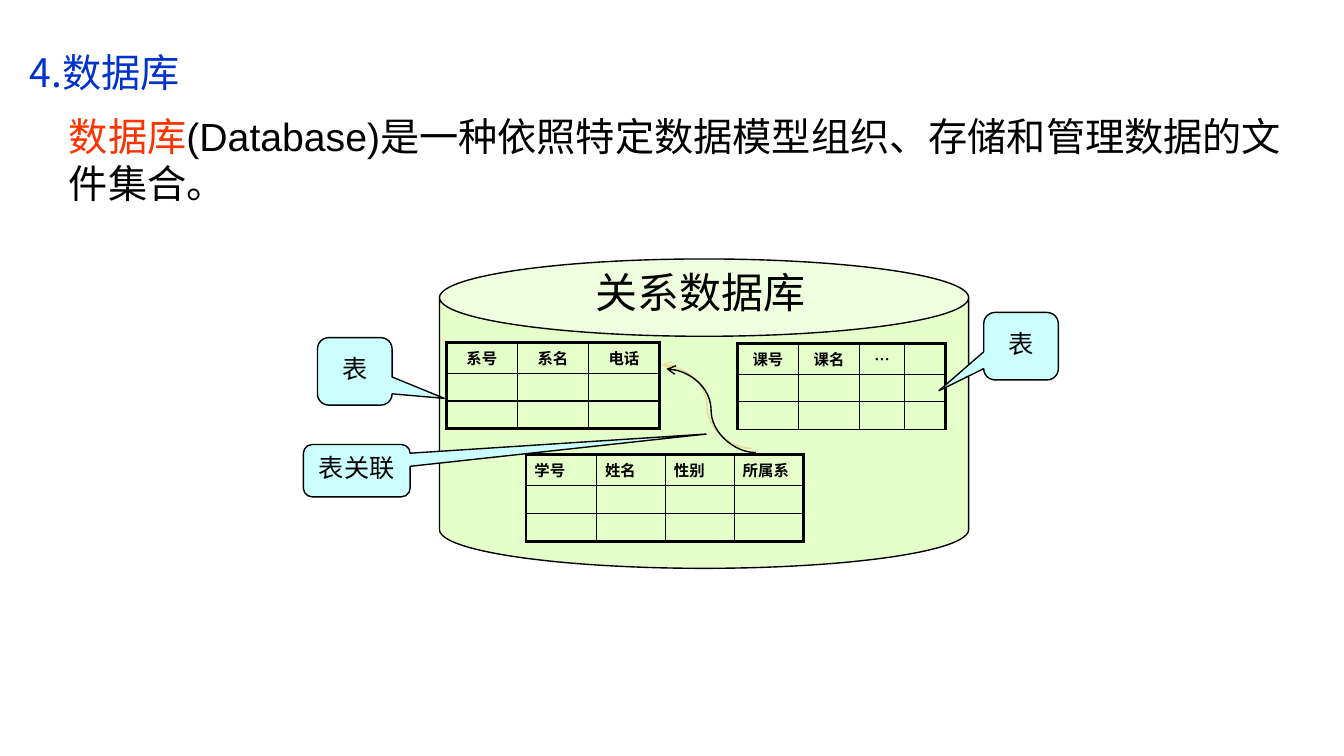
from lxml import etree
from pptx import Presentation
from pptx import util as u
from pptx.dml.color import RGBColor
from pptx.enum import shapes, text
from pptx.oxml import ns

BLACK = "000000"
NOTO = "Noto Sans CJK SC"
CENTER = text.PP_ALIGN.CENTER
LEFT = text.PP_ALIGN.LEFT
MIDDLE = text.MSO_ANCHOR.MIDDLE
TOP = text.MSO_ANCHOR.TOP


def color(value):
    return RGBColor.from_string(value)


def child(parent, tag, **attributes):
    return etree.SubElement(parent, ns.qn(tag), attributes)


def points(*lengths):
    return [u.Pt(length) for length in lengths]


def write(frame, spans, size=18, font=NOTO, asian=NOTO, bold=False,
          align=LEFT, anchor=TOP, wrap=True, spacing=None):
    frame.auto_size = text.MSO_AUTO_SIZE.NONE
    frame.word_wrap = wrap
    frame.vertical_anchor = anchor
    frame.margin_left = frame.margin_right = u.Pt(6)
    frame.margin_top = frame.margin_bottom = u.Pt(3)
    para = frame.paragraphs[0]
    para.alignment = align
    para.line_spacing = spacing
    for words, tint in spans:
        span = para.add_run()
        span.text = words
        span.font.size = u.Pt(size)
        span.font.name = font
        span.font.bold = bold
        span.font.color.rgb = color(tint)
        child(span.font._element, "a:ea", typeface=asian)


def add_title(page, words, place):
    title = page.shapes.title
    title.left, title.top, title.width, title.height = points(*place)
    write(title.text_frame, [(words, "0033CC")], size=28, spacing=u.Pt(33.6))


def add_text(page, spans, place, **style):
    box = page.shapes.add_textbox(*points(*place))
    write(box.text_frame, spans, **style)


def add_box(page, kind, place, fill, adjustments):
    box = page.shapes.add_shape(kind, *points(*place))
    box.shadow.inherit = False
    box.fill.solid()
    box.fill.fore_color.rgb = color(fill)
    box.line.color.rgb = color(BLACK)
    box.line.width = u.Pt(1)
    for index, value in enumerate(adjustments):
        box.adjustments[index] = value
    return box


def add_cylinder(page, place):
    box = add_box(page, shapes.MSO_SHAPE.CAN, place, "CCFF99", [0.25])
    tint = box.fill._xPr.find(ns.qn("a:solidFill"))[0]
    child(tint, "a:alpha", val="50000")


def add_callout(page, words, place, tip):
    kind = shapes.MSO_SHAPE.ROUNDED_RECTANGULAR_CALLOUT
    box = add_box(page, kind, place, "CCFFFF", [*tip, 0.167])
    write(box.text_frame, [(words, BLACK)], align=CENTER, anchor=MIDDLE, spacing=0.8)


def add_border(cell, side, width):
    line = child(cell._tc.get_or_add_tcPr(), "a:ln" + side, w=str(u.Pt(width)))
    child(child(line, "a:solidFill"), "a:srgbClr", val=BLACK)


def add_relation(page, headers, place, widths, align=CENTER, bottom=2.25):
    rows, thick, thin = 3, 2.25, 1
    frame = page.shapes.add_table(rows, len(headers), *points(*place))
    table = frame.table
    table.first_row = table.horz_banding = False
    for column, width in zip(table.columns, widths):
        column.width = u.Pt(width)
    last = len(headers) - 1
    for row in range(rows):
        table.rows[row].height = u.Pt(place[3] / rows)
        for column, header in enumerate(headers):
            cell = table.cell(row, column)
            cell.margin_left = cell.margin_right = u.Pt(6)
            cell.margin_top = cell.margin_bottom = u.Pt(3)
            add_border(cell, "L", thick if column == 0 else thin)
            add_border(cell, "R", thick if column == last else thin)
            add_border(cell, "T", thick if row == 0 else thin)
            add_border(cell, "B", bottom if row == rows - 1 else thin)
            cell.fill.background()
            if row == 0 and header:
                write(cell.text_frame, [(header, BLACK)], size=11, bold=True,
                      font="Noto Sans CJK KR", asian="Noto Sans CJK KR", align=align)
            else:
                child(cell.text_frame.paragraphs[0]._p, "a:endParaRPr", sz="1100")


def add_curve(page, start, end):
    curve = page.shapes.add_connector(
        shapes.MSO_CONNECTOR.CURVE, *points(*start, *end))
    curve.line.color.rgb = color(BLACK)
    curve.line.width = u.Pt(1)
    child(curve.line._get_or_add_ln(), "a:tailEnd", type="arrow")
    effects = child(curve._element.spPr, "a:effectLst")
    shadow = child(effects, "a:outerShdw", dist=str(u.Pt(4.2)), dir="13500000")
    child(child(shadow, "a:srgbClr", val="F5B363"), "a:alpha", val="50000")


def main():
    deck = Presentation()
    deck.slide_width, deck.slide_height = points(960, 540)
    page = deck.slides.add_slide(deck.slide_layouts[5])

    add_title(page, "4.数据库", (15, 31.7, 476, 39.6))
    definition = [("数据库", "FF3300"),
                  ("(Database)是一种依照特定数据模型组织、存储和管理数据的文件集合。", BLACK)]
    add_text(page, definition, (43.2, 77, 877.7, 74.2), size=28, font="Arial",
             align=text.PP_ALIGN.JUSTIFY, spacing=u.Pt(33.6))

    add_cylinder(page, (313.9, 185, 378, 221))
    add_relation(page, ["系号", "系名", "电话"], (319, 244.8, 152, 59), [50.5, 51, 50.5])
    add_relation(page, ["学号", "姓名", "性别", "所属系"], (375.8, 324.7, 198, 60.5),
                 [50.4, 49.2, 49.2, 49.2], align=LEFT)
    add_relation(page, ["课号", "课名", "…", ""], (527, 245.5, 148.3, 58.5),
                 [43.2, 44, 31.7, 29.4], bottom=1)
    add_text(page, [("关系数据库", BLACK)], (382.3, 189.4, 236.2, 38.2), size=30,
             font="Times New Roman", align=CENTER, anchor=MIDDLE, wrap=False)

    add_callout(page, "表", (226.8, 241.2, 53.3, 48.2), (1.2, 0.4))
    add_callout(page, "表", (702.7, 223.2, 53.3, 48.2), (-1.1, 0.66))
    add_callout(page, "表关联", (216.7, 317.5, 76.3, 37.4), (3.27, -0.7))
    add_curve(page, (540, 323.3), (476, 263.5))
    deck.save("out.pptx")


if __name__ == "__main__":
    main()
